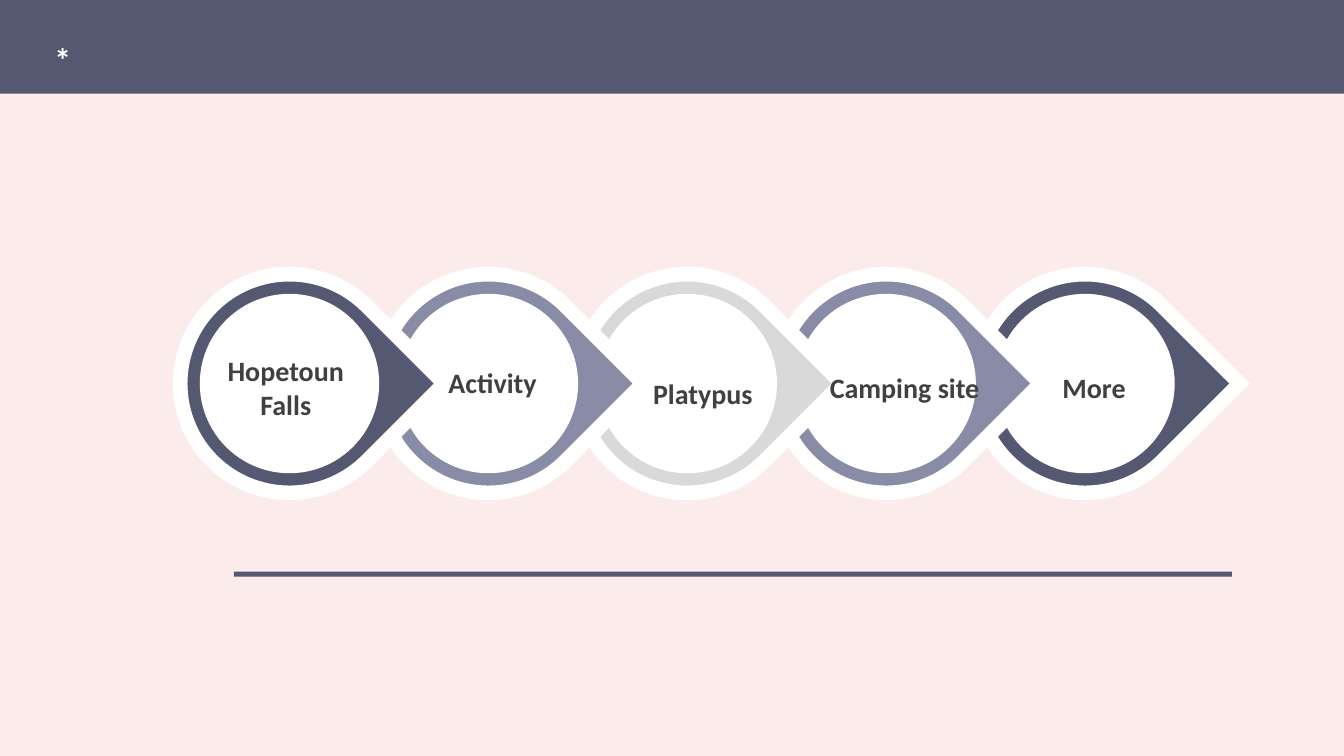
"""Build a slide with a chain of five linked topic drops."""
from dataclasses import dataclass

from lxml.etree import SubElement
from pptx import Presentation
from pptx.dml.color import RGBColor
from pptx.enum.shapes import MSO_SHAPE
from pptx.enum.text import MSO_AUTO_SIZE, PP_ALIGN
from pptx.oxml.ns import qn
from pptx.util import Inches, Pt


@dataclass(frozen=True)
class Theme:
    """Colours, font and type sizes of the slide."""

    background: str = "FBECEB"
    navy: str = "545871"
    lilac: str = "888CA6"
    grey: str = "D9D9D9"
    white: str = "FFFFFF"
    ink: str = "404040"
    font: str = "Calibri"
    label_size: int = 20
    mark_size: int = 24
    outline: float = 10.5


THEME = Theme()
SLIDE_COLUMNS, SLIDE_ROWS = 133.33, 75
DROP_LEFT, DROP_TOP, DROP_SIZE, DROP_PITCH = 17.87, 27.2, 21.7, 19.73
DISC_SIZE = 17.8
DROP_COLOURS = (THEME.navy, THEME.lilac, THEME.grey, THEME.lilac, THEME.navy)
LABELS = (
    (("Platypus",), (63.8, 35.2, 17.8, 5.5), PP_ALIGN.LEFT, 1.5, True),
    (("Camping site",), (77.1, 34.6, 25.3, 5.5), PP_ALIGN.CENTER, 1.5, True),
    (("More",), (104.4, 34.6, 10.8, 5.5), PP_ALIGN.LEFT, 1.5, True),
    (("Activity",), (43.5, 35.8, 10.9, 4.4), PP_ALIGN.LEFT, 1, False),
    (("Hopetoun", "Falls"), (21.5, 34.6, 13.7, 7.7), PP_ALIGN.CENTER, 1, False),
)


def grid(*cells):
    """Turn counts of square grid cells into slide lengths."""
    return [Inches(cell / 10) for cell in cells]


def set_values(target, values):
    """Set every attribute named in a dict of format values."""
    for name, value in values.items():
        setattr(target, name, value)


def add_block(shapes, kind, box, colour):
    """Add a flat filled shape without line or shadow."""
    block = shapes.add_shape(kind, *grid(*box))
    block.shadow.inherit = False
    block.fill.solid()
    block.fill.fore_color.rgb = RGBColor.from_string(colour)
    block.line.fill.background()
    return block


def add_drop(slide, position, colour):
    """Add one drop of the chain with its white disc."""
    shapes = slide.shapes.add_group_shape().shapes
    left = DROP_LEFT + position * DROP_PITCH
    inset = (DROP_SIZE - DISC_SIZE) / 2
    drop = add_block(shapes, MSO_SHAPE.TEAR, (left, DROP_TOP, DROP_SIZE, DROP_SIZE), colour)
    drop.rotation = 45
    drop.line.color.rgb = RGBColor.from_string(THEME.white)
    drop.line.width = Pt(THEME.outline)
    SubElement(drop.line._get_or_add_ln(), qn("a:miter"), lim="800000")
    disc = (left + inset, DROP_TOP + inset, DISC_SIZE, DISC_SIZE)
    add_block(shapes, MSO_SHAPE.OVAL, disc, THEME.white)


def add_label(slide, lines, box, alignment, spacing, wrap,
              size=THEME.label_size, colour=THEME.ink):
    """Add a bold text box with one paragraph for each line."""
    frame = slide.shapes.add_textbox(*grid(*box)).text_frame
    set_values(frame, {"word_wrap": wrap, "auto_size": MSO_AUTO_SIZE.SHAPE_TO_FIT_TEXT})
    frame.text = "\n".join(lines)
    for paragraph in frame.paragraphs:
        set_values(paragraph, {"alignment": alignment, "line_spacing": spacing})
        set_values(paragraph.font, {"name": THEME.font, "size": Pt(size), "bold": True})
        paragraph.font.color.rgb = RGBColor.from_string(colour)


def main():
    """Build and save the presentation."""
    presentation = Presentation()
    width, height = grid(SLIDE_COLUMNS, SLIDE_ROWS)
    set_values(presentation, {"slide_width": width, "slide_height": height})
    slide = presentation.slides.add_slide(presentation.slide_layouts[6])
    slide.background.fill.solid()
    slide.background.fill.fore_color.rgb = RGBColor.from_string(THEME.background)

    for position, colour in reversed(list(enumerate(DROP_COLOURS))):
        add_drop(slide, position, colour)
    rule = add_block(slide.shapes, MSO_SHAPE.ROUNDED_RECTANGLE, (23.2, 56.7, 99, 0.5), THEME.navy)
    rule.adjustments[0] = 0
    for label in LABELS:
        add_label(slide, *label)

    add_block(slide.shapes, MSO_SHAPE.RECTANGLE, (0, 0, SLIDE_COLUMNS, 9.3), THEME.navy)
    add_label(slide, ("*",), (4.4, 1.4, 3.7, 6.4), PP_ALIGN.LEFT, 1.5, False,
              THEME.mark_size, THEME.white)
    presentation.save("out.pptx")


if __name__ == "__main__":
    main()
